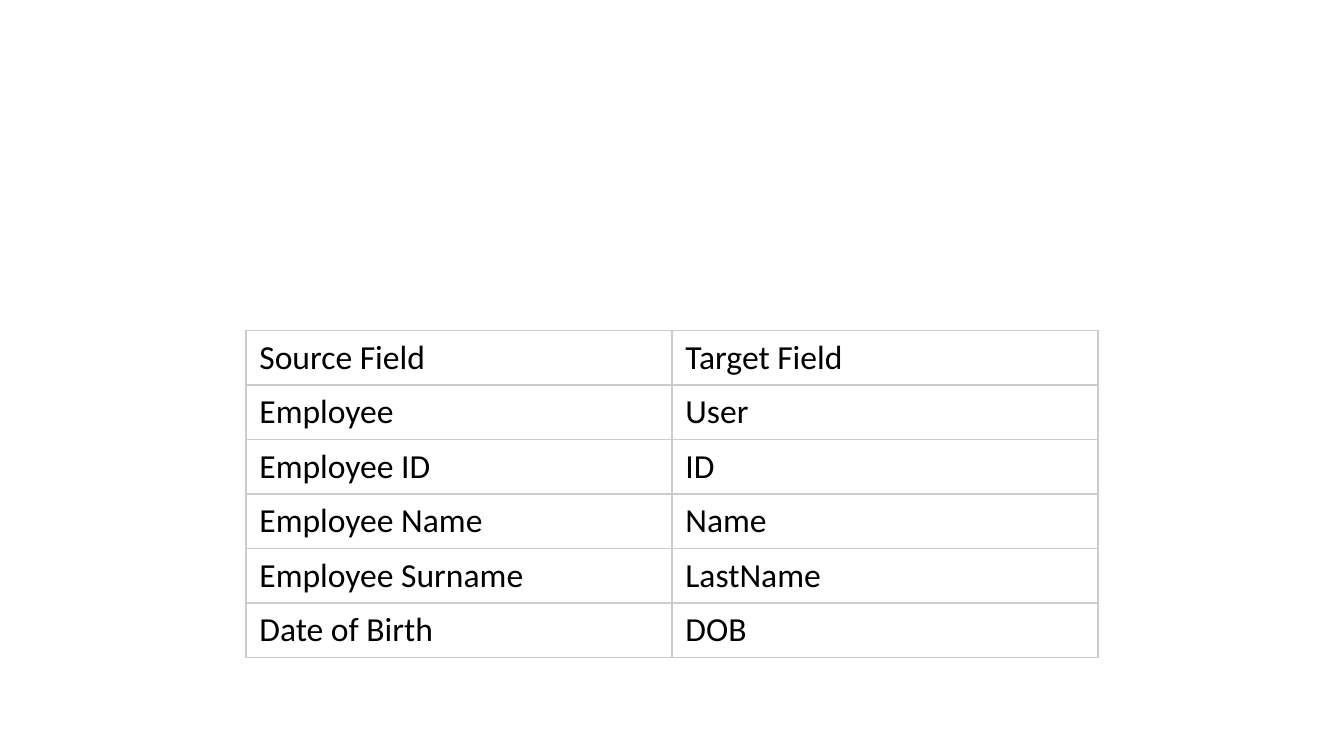
from lxml.etree import SubElement
from pptx import Presentation
from pptx.dml.color import RGBColor
from pptx.oxml.ns import qn
from pptx.util import Pt

BLACK = RGBColor(0x00, 0x00, 0x00)
BORDER_GREY = RGBColor(0xCC, 0xCC, 0xCC)

FIELD_MAPPING = [
    ("Source Field", "Target Field"),
    ("Employee", "User"),
    ("Employee ID", "ID"),
    ("Employee Name", "Name"),
    ("Employee Surname", "LastName"),
    ("Date of Birth", "DOB"),
]
COLUMN_WIDTH = 228.24
ROW_HEIGHT = 28.8


def add_borders(cell):
    """Draw a thin grey line on all four sides of the cell."""
    properties = cell._tc.get_or_add_tcPr()
    for position, side in enumerate(("a:lnL", "a:lnR", "a:lnT", "a:lnB")):
        line = SubElement(properties, qn(side), w=str(Pt(1)))
        fill = SubElement(line, qn("a:solidFill"))
        SubElement(fill, qn("a:srgbClr"), val=str(BORDER_GREY))
        properties.insert(position, line)  # borders come before the fill


deck = Presentation()
deck.slide_width, deck.slide_height = Pt(720), Pt(405)
page = deck.slides.add_slide(deck.slide_layouts[6])

row_count, column_count = len(FIELD_MAPPING), len(FIELD_MAPPING[0])
table_width = column_count * COLUMN_WIDTH
table = page.shapes.add_table(
    row_count, column_count,
    Pt((720 - table_width) / 2), Pt(177.12),
    Pt(table_width), Pt(row_count * ROW_HEIGHT),
).table
table.first_row = False
table.horz_banding = False

for row, fields in zip(table.rows, FIELD_MAPPING):
    for cell, field in zip(row.cells, fields):
        cell.fill.background()
        add_borders(cell)
        cell.text_frame.text = field
        font = cell.text_frame.paragraphs[0].runs[0].font
        font.name = "Calibri"
        font.size = Pt(18)
        font.color.rgb = BLACK

deck.save("out.pptx")
